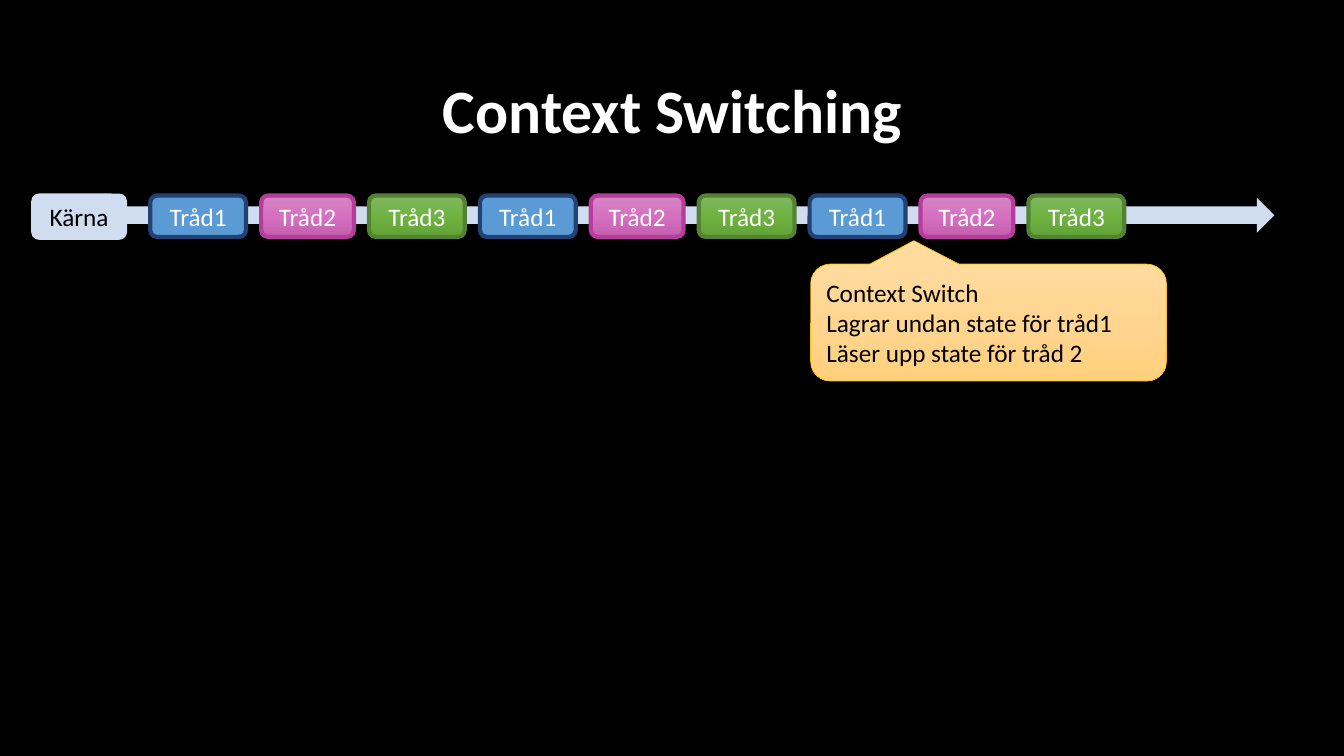
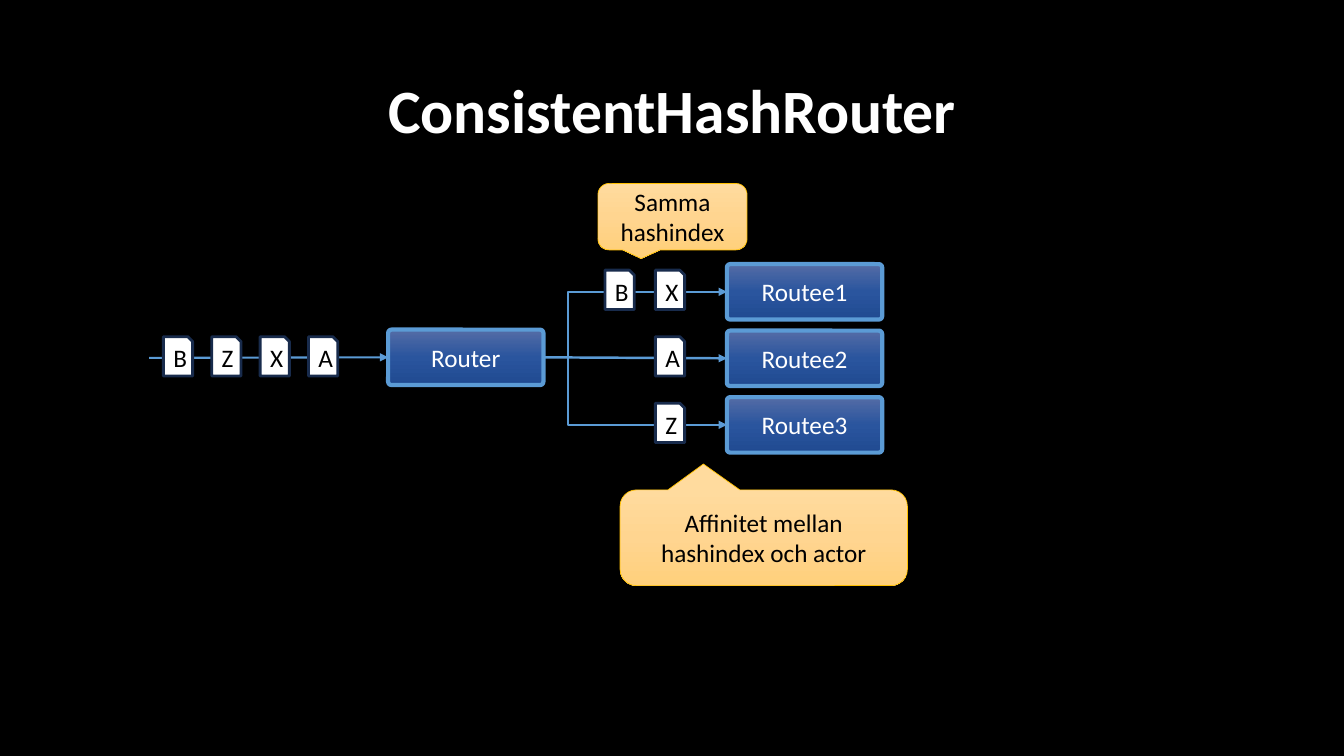
import copy
from dataclasses import dataclass

import lxml.etree
import pptx
import pptx.dml.color
import pptx.enum.shapes
import pptx.enum.text
import pptx.oxml.ns
import pptx.presentation
import pptx.shapes.autoshape
import pptx.shapes.connector
import pptx.slide
import pptx.util

Inches = pptx.util.Inches
KIND = pptx.enum.shapes.MSO_SHAPE
WIRE = pptx.enum.shapes.MSO_CONNECTOR
ALIGN = pptx.enum.text.PP_ALIGN
qn = pptx.oxml.ns.qn

FONT = "Calibri"
TOP, LEFT, RIGHT = 0, 1, 3  # sides used: top, left, right

COLORS = {
    "black": "000000",
    "white": "FFFFFF",
    "pale": "D0DCF0",
    "blue": "5B9BD5",
    "navy": "234173",
    "ink": "182B4C",
    "pink": "B73D9D",
    "pink1": "D786C5",
    "pink2": "D670C0",
    "pink3": "C35EAD",
    "green": "548235",
    "green1": "81B861",
    "green2": "6FB242",
    "green3": "62A336",
    "deep1": "546CA6",
    "deep2": "2A559E",
    "deep3": "204A91",
    "gold": "FFC000",
    "gold1": "FFDB9E",
    "gold2": "FFD590",
    "gold3": "FFD07C",
}


@dataclass(frozen=True)
class Look:
    """Fill (one colour or three gradient stops), outline and text colour."""
    fill: tuple[str, ...]
    edge: str = ""
    weight: float = 0
    text: str = "white"


@dataclass(frozen=True)
class Part:
    """A shape with its place in inches."""
    kind: KIND
    left: float
    top: float
    width: float
    height: float
    look: Look
    text: str = ""
    bends: tuple[float, ...] = ()
    align: ALIGN = ALIGN.CENTER


BAR = Look(("pale",), text="black")
NOTE = Look(("gold1", "gold2", "gold3"), "gold", 0.5, "black")
NODE = Look(("deep1", "deep2", "deep3"), "blue", 3)
CARD = Look(("white",), "ink", 2, "black")
THREADS = (
    # offset in the round, width, look
    (0, 0.95, Look(("blue",), "navy", 3)),
    (1.1, 0.92, Look(("pink1", "pink2", "pink3"), "pink", 3)),
    (2.17, 0.95, Look(("green1", "green2", "green3"), "green", 3)),
)


def tint(name: str) -> pptx.dml.color.RGBColor:
    return pptx.dml.color.RGBColor.from_string(COLORS[name])


def style(para, size: float, color: str, bold: bool = False) -> None:
    for run in para.runs:
        run.font.name = FONT
        run.font.size = pptx.util.Pt(size)
        run.font.bold = bold
        run.font.color.rgb = tint(color)


def paint(shape: pptx.shapes.autoshape.Shape, names: tuple[str, ...]) -> None:
    fill = shape.fill
    if len(names) == 1:
        fill.solid()
        fill.fore_color.rgb = tint(names[0])
        return
    fill.gradient()
    fill.gradient_angle = 270
    stops = shape.element.spPr.find(qn("a:gradFill")).find(qn("a:gsLst"))
    stops.append(copy.deepcopy(stops[-1]))
    for i, (stop, name) in enumerate(zip(fill.gradient_stops, names)):
        stop.position = i / (len(names) - 1)
        stop.color.rgb = tint(name)


def draw(slide: pptx.slide.Slide, part: Part) -> pptx.shapes.autoshape.Shape:
    shape = slide.shapes.add_shape(
        part.kind, Inches(part.left), Inches(part.top),
        Inches(part.width), Inches(part.height))
    shape.shadow.inherit = False
    for i, bend in enumerate(part.bends):
        shape.adjustments[i] = bend
    paint(shape, part.look.fill)
    if part.look.edge:
        shape.line.color.rgb = tint(part.look.edge)
        shape.line.width = pptx.util.Pt(part.look.weight)
    else:
        shape.line.fill.background()
    if part.text:
        shape.text_frame.text = part.text
        for para in shape.text_frame.paragraphs:
            para.alignment = part.align
            style(para, 18, part.look.text)
    return shape


def point(wire: pptx.shapes.connector.Connector, weight: float) -> None:
    """Colour a connector and give it an arrowhead."""
    wire.line.color.rgb = tint("blue")
    wire.line.width = pptx.util.Pt(weight)
    props = wire._element.spPr
    lxml.etree.SubElement(
        props.find(qn("a:ln")), qn("a:tailEnd"), type="triangle")
    lxml.etree.SubElement(props, qn("a:effectLst"))


def link(slide: pptx.slide.Slide, start: pptx.shapes.autoshape.Shape,
         end: pptx.shapes.autoshape.Shape, bent: bool) -> None:
    """Join the right side of one box to the left side of another."""
    wire = slide.shapes.add_connector(
        WIRE.ELBOW if bent else WIRE.STRAIGHT,
        start.left + start.width, start.top + start.height // 2,
        end.left, end.top + end.height // 2)
    wire.begin_connect(start, RIGHT)
    wire.end_connect(end, LEFT)
    point(wire, 1.5 if bent else 1.75)
    if bent:
        guides = wire._element.spPr.find(qn("a:prstGeom")).get_or_add_avLst()
        lxml.etree.SubElement(
            guides, qn("a:gd"), name="adj1", fmla="val 13500")


def theme(deck: pptx.presentation.Presentation) -> pptx.slide.SlideLayout:
    """Set the black ground and the place of the title."""
    deck.slide_width, deck.slide_height = Inches(13.33), Inches(7.5)
    layout = deck.slide_layouts[5]
    ground = layout.slide_master.background.fill
    ground.solid()
    ground.fore_color.rgb = tint("black")
    title = layout.placeholders[0]
    title.left, title.top = Inches(0.92), Inches(0.4)
    title.width, title.height = Inches(11.5), Inches(1.45)
    return layout


def start(deck: pptx.presentation.Presentation,
          layout: pptx.slide.SlideLayout, text: str) -> pptx.slide.Slide:
    slide = deck.slides.add_slide(layout)
    frame = slide.shapes.title.text_frame
    frame.text = text
    frame.vertical_anchor = pptx.enum.text.MSO_ANCHOR.MIDDLE
    para = frame.paragraphs[0]
    para.alignment = ALIGN.CENTER
    para.line_spacing = 0.9
    style(para, 44, "white", bold=True)
    return slide


def card(slide: pptx.slide.Slide, left: float, top: float, text: str) -> None:
    draw(slide, Part(KIND.SNIP_1_RECTANGLE, left, top, 0.29, 0.39, CARD, text))


def switch(slide: pptx.slide.Slide) -> None:
    # Time line of the core
    draw(slide, Part(KIND.RIGHT_ARROW, 1.24, 1.96, 11.4, 0.35, BAR))
    draw(slide, Part(KIND.ROUNDED_RECTANGLE, 0.31, 1.92, 0.95, 0.46, BAR,
                     "Kärna"))
    # Three rounds of three threads
    for turn in range(3):
        for i, (shift, width, look) in enumerate(THREADS, 1):
            draw(slide, Part(KIND.ROUNDED_RECTANGLE,
                             1.49 + 3.27 * turn + shift, 1.94, width, 0.41,
                             look, f"Tråd{i}"))
    # Callout
    draw(slide, Part(
        KIND.ROUNDED_RECTANGULAR_CALLOUT, 8.04, 2.62, 3.53, 1.16, NOTE,
        "Context Switch\nLagrar undan state för tråd1\n"
        "Läser upp state för tråd 2",
        (-0.21, -0.7, 0.17), ALIGN.LEFT))


def route(slide: pptx.slide.Slide) -> None:
    pitch = 0.66

    # Router and its routees
    def node(left: float, top: float,
             text: str) -> pptx.shapes.autoshape.Shape:
        return draw(slide, Part(KIND.ROUNDED_RECTANGLE, left, top, 1.54, 0.55,
                                NODE, text, (0.06,)))

    router = node(3.85, 3.27, "Router")
    ends = [node(7.21, 2.62 + pitch * i, f"Routee{i + 1}") for i in range(3)]

    # Arrows
    for i, end in enumerate(ends):
        link(slide, router, end, bent=i != 1)
    feed = slide.shapes.add_connector(
        WIRE.STRAIGHT, Inches(1.48), Inches(3.55), Inches(3.85), Inches(3.55))
    feed.end_connect(router, LEFT)
    point(feed, 1.5)

    # Messages, queued and then sorted
    for i, text in enumerate("BZXA"):
        card(slide, 1.62 + 0.48 * i, 3.34, text)
    for i, row in enumerate(("XB", "A", "Z")):
        for j, text in enumerate(row):
            card(slide, 6.5 - 0.5 * j, 2.68 + pitch * i, text)

    # Callouts
    draw(slide, Part(KIND.ROUNDED_RECTANGULAR_CALLOUT, 5.93, 1.82, 1.48, 0.66,
                     NOTE, "Samma hashindex", (-0.21, 0.63, 0.17)))
    draw(slide, Part(KIND.ROUNDED_RECTANGULAR_CALLOUT, 6.15, 4.86, 2.85, 0.95,
                     NOTE, "Affinitet mellan hashindex och actor",
                     (-0.21, -0.77, 0.17)))


def main() -> None:
    deck = pptx.Presentation()
    layout = theme(deck)
    switch(start(deck, layout, "Context Switching"))
    route(start(deck, layout, "ConsistentHashRouter"))
    deck.save("out.pptx")


if __name__ == "__main__":
    main()
